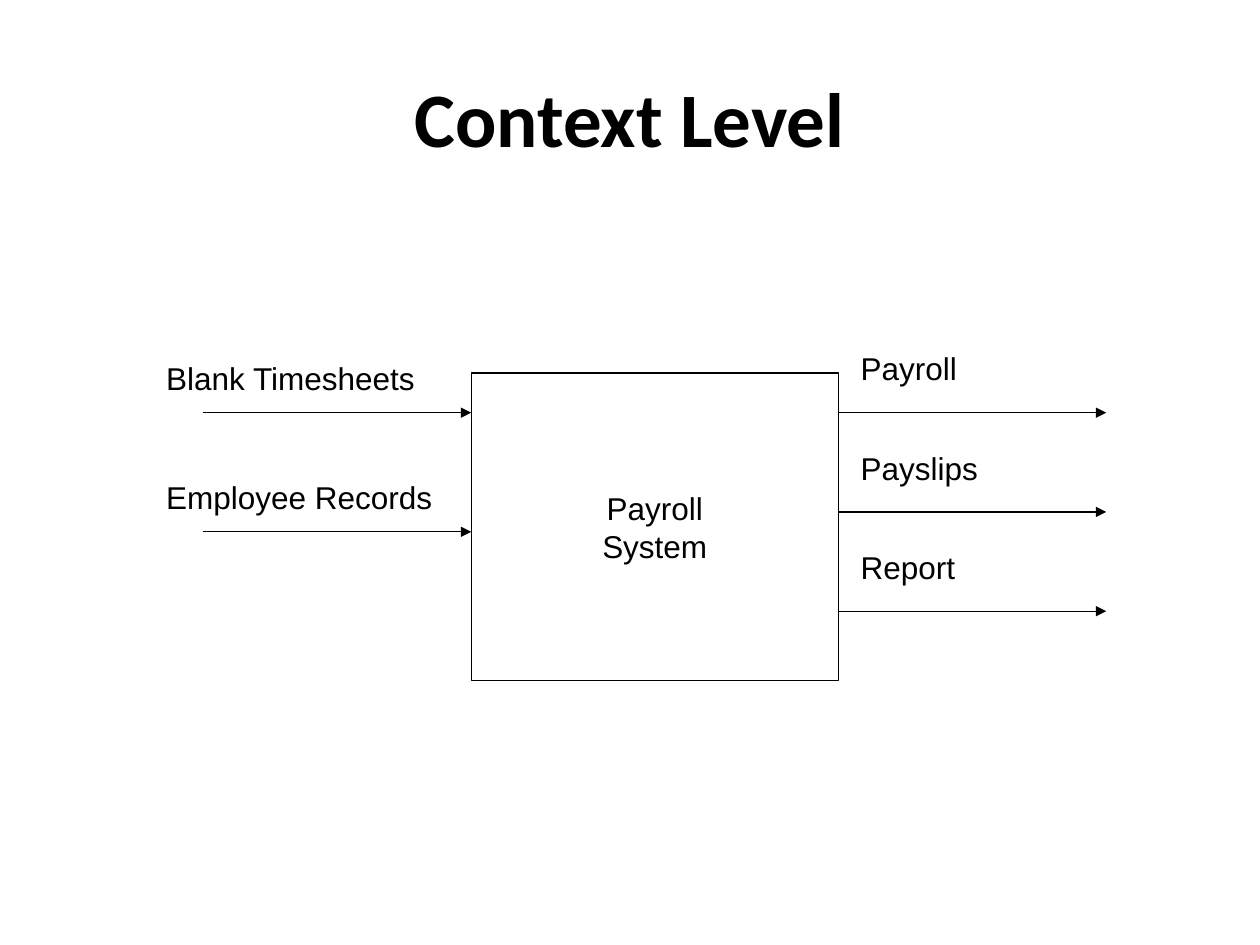
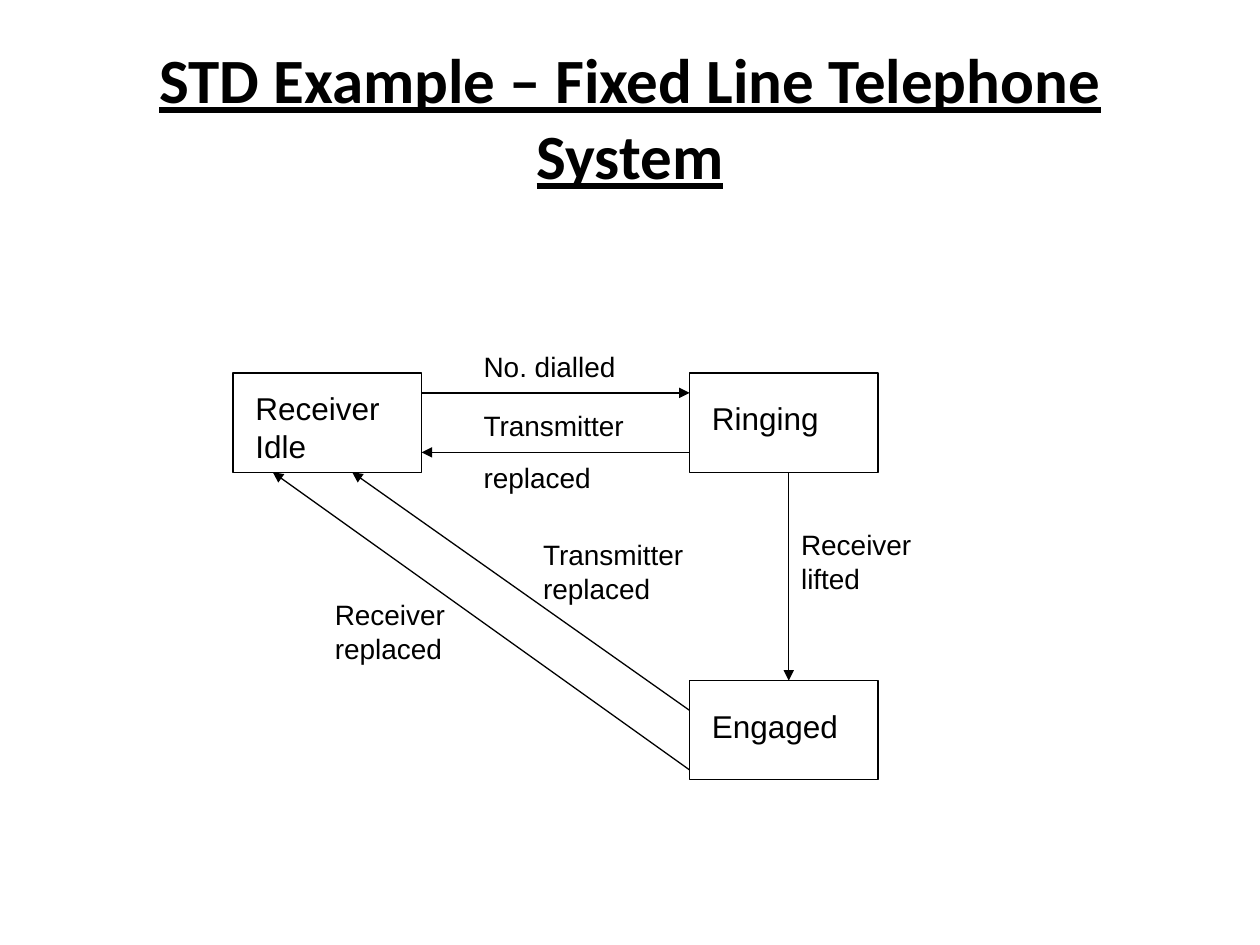
import pptx
import pptx.dml.color
import pptx.enum.shapes
import pptx.enum.text
import pptx.oxml
import pptx.oxml.ns
import pptx.util

# Shared look; diagrams are laid out on a grid of 2 mm cells
CELL = pptx.util.Mm(2)
INK = "000000"
DIAGRAM_TOP = 37.6
LINE_WIDTH = pptx.util.Pt(0.75)
TITLE_BOX = (0.05, 0.04, 0.9, 1 / 6)
LARGE, SMALL = 18, 16
ALIGN = pptx.enum.text.PP_ALIGN
ANCHOR = pptx.enum.text.MSO_ANCHOR


def color(hex_value):
    return pptx.dml.color.RGBColor.from_string(hex_value)


def cells(*counts):
    return [round(count * CELL) for count in counts]


def set_attributes(target, values):
    for name, value in values.items():
        setattr(target, name, value)


def write(frame, lines, size, align=ALIGN.LEFT, gap=0, font_name="Arial", **font_values):
    """Fill a text frame with one paragraph per line."""
    for index, line in enumerate(lines):
        paragraph = frame.add_paragraph() if index else frame.paragraphs[0]
        paragraph.text = line
        paragraph.alignment = align
        if index:
            paragraph.space_before = pptx.util.Pt(gap)
        set_attributes(paragraph.font, {"name": font_name, "size": pptx.util.Pt(size), **font_values})
        paragraph.font.color.rgb = color(INK)


def add_titled_slide(presentation, title, size, underline=False):
    slide = presentation.slides.add_slide(presentation.slide_layouts[5])
    shape = slide.shapes.title
    width, height = presentation.slide_width, presentation.slide_height
    left, top, wide, high = TITLE_BOX
    set_attributes(shape, {"left": round(left * width), "top": round(top * height),
                           "width": round(wide * width), "height": round(high * height)})
    set_attributes(shape.text_frame, {"auto_size": pptx.enum.text.MSO_AUTO_SIZE.NONE,
                                      "vertical_anchor": ANCHOR.MIDDLE})
    write(shape.text_frame, [title], size, ALIGN.CENTER,
          font_name="Calibri", bold=True, underline=underline)
    return slide


def add_box(slide, left, top, width, height):
    shape = slide.shapes.add_shape(pptx.enum.shapes.MSO_SHAPE.RECTANGLE,
                                   *cells(left, top, width, height))
    shape.shadow.inherit = False
    shape.fill.background()
    shape.line.color.rgb = color(INK)
    shape.line.width = LINE_WIDTH
    return shape


def add_label(slide, left, top, width, height, lines, size, gap=0):
    shape = slide.shapes.add_textbox(*cells(left, top, width, height))
    shape.text_frame.word_wrap = True
    write(shape.text_frame, lines, size, gap=gap)


def add_arrow(slide, start, end):
    connector = slide.shapes.add_connector(pptx.enum.shapes.MSO_CONNECTOR.STRAIGHT,
                                           *cells(*start, *end))
    connector.line.color.rgb = color(INK)
    connector.line.width = LINE_WIDTH
    # Arrowhead at the end, and no shadow
    head = pptx.oxml.parse_xml(f'<a:tailEnd {pptx.oxml.ns.nsdecls("a")} type="triangle"/>')
    connector.line._get_or_add_ln().append(head)
    effects = pptx.oxml.parse_xml(f'<a:effectLst {pptx.oxml.ns.nsdecls("a")}/>')
    connector._element.spPr.append(effects)


def draw_context(slide, left, top, width, height):
    """Draw one process box with its inputs and outputs."""
    process = add_box(slide, left, top, width, height)
    set_attributes(process.text_frame, {"word_wrap": False, "vertical_anchor": ANCHOR.MIDDLE})
    write(process.text_frame, ["Payroll", "System"], LARGE, ALIGN.CENTER)

    flow_length, right = 27, left + width
    # Flow start, label left, label rise above the arrow, first row, row step, names
    sides = [
        (left - flow_length, left - 32, 6, 4, 12, ["Blank Timesheets", "Employee Records"]),
        (right, right + 1, 7, 4, 10, ["Payroll", "Payslips", "Report"]),
    ]
    for flow_left, label_left, rise, first_row, step, names in sides:
        for index, name in enumerate(names):
            row = top + first_row + index * step
            add_arrow(slide, (flow_left, row), (flow_left + flow_length, row))
            add_label(slide, label_left, row - rise, 33, 5, [name], LARGE)


def draw_telephone_states(slide, left, top, state_width, state_height):
    """Draw the three states and the transitions between them."""
    column, row = 46, 31
    # State column and row, then the drop of its name inside the box
    states = [("Receiver Idle", 0, 0, 1, 9), ("Ringing", column, 0, 2, 5),
              ("Engaged", column, row, 2, 5)]
    for name, x, y, drop, height in states:
        add_box(slide, left + x, top + y, state_width, state_height)
        add_label(slide, left + x + 1, top + y + drop, 16, height, [name], LARGE)

    # Arrow start and end, then label position, width, height and lines
    transitions = [
        ((state_width, 2), (column, 2), (24, -3, 16, 5), ["No. dialled"]),
        ((column, 8), (state_width, 8), (24, 3, 19, 10), ["Transmitter", "replaced"]),
        ((column + 10, state_height), (column + 10, row), (56, 15, 16, 8), ["Receiver lifted"]),
        ((column, row + 3), (12, state_height), (30, 16, 19, 8), ["Transmitter replaced"]),
        ((column, row + 9), (4, state_height), (9, 22, 19, 8), ["Receiver replaced"]),
    ]
    for start, end, (x, y, width, height), lines in transitions:
        add_arrow(slide, (left + start[0], top + start[1]), (left + end[0], top + end[1]))
        add_label(slide, left + x, top + y, width, height, lines, SMALL, gap=10)


def main():
    presentation = pptx.Presentation()
    presentation.slide_width = pptx.util.Inches(10)
    presentation.slide_height = pptx.util.Inches(7.5)

    context_slide = add_titled_slide(presentation, "Context Level", 44)
    draw_context(context_slide, 47.5, DIAGRAM_TOP, 37, 31)

    telephone_slide = add_titled_slide(
        presentation, "STD Example – Fixed Line Telephone System", 36, underline=True)
    draw_telephone_states(telephone_slide, 23.5, DIAGRAM_TOP, 19, 10)

    presentation.save("out.pptx")


if __name__ == "__main__":
    main()
